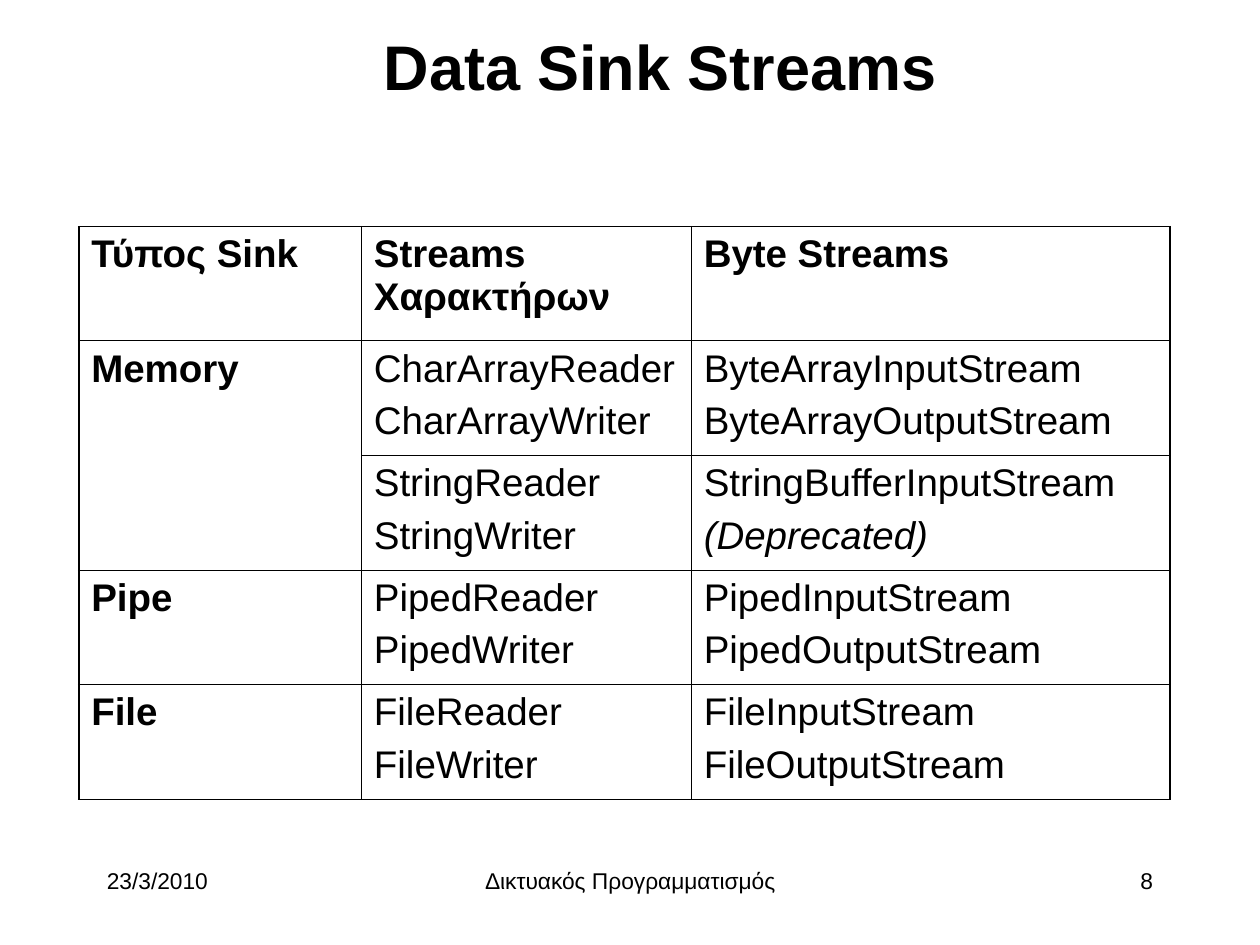
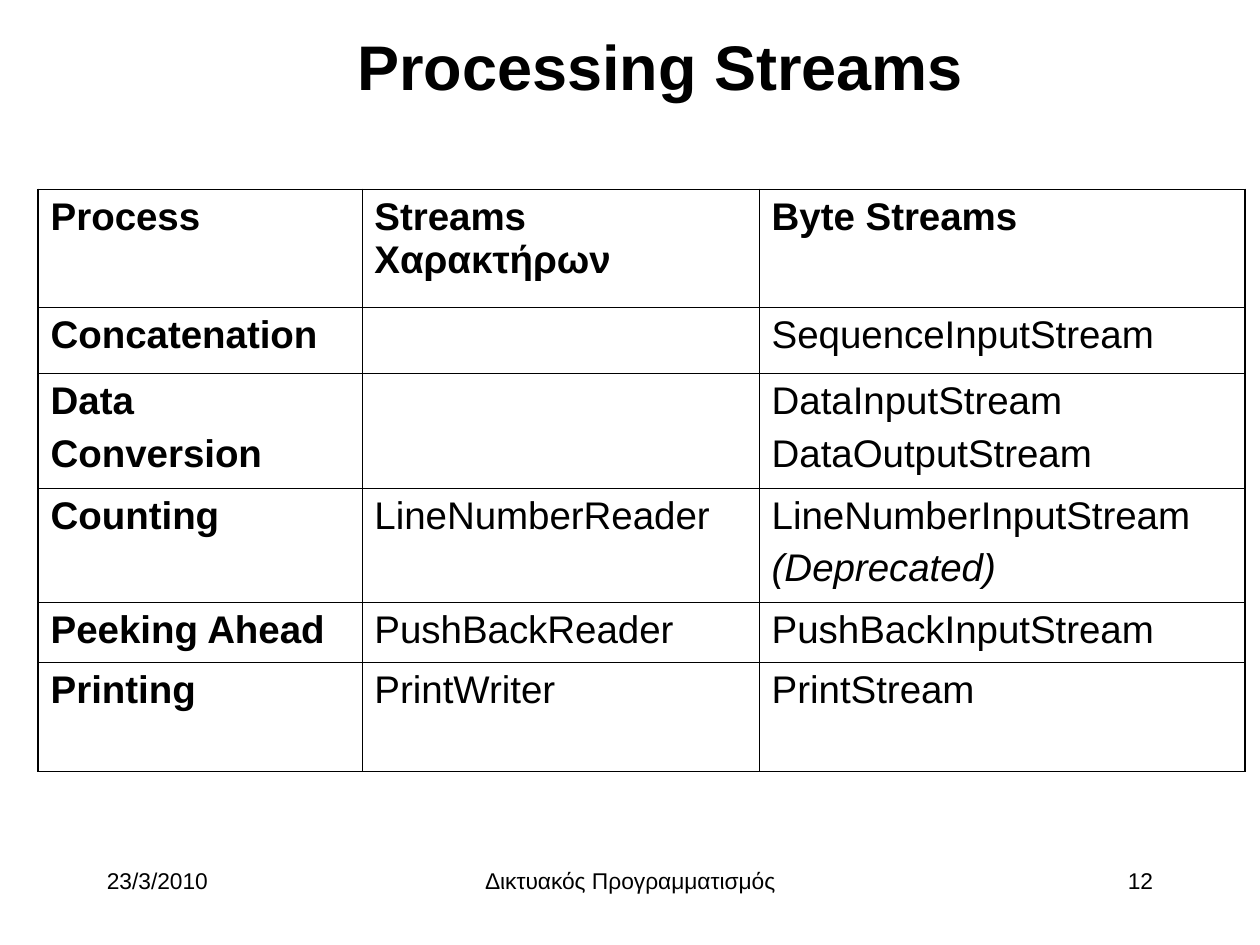
from typing import NamedTuple

from pptx import Presentation
from pptx.dml.color import RGBColor
from pptx.enum.text import MSO_ANCHOR, PP_ALIGN
from pptx.oxml.ns import qn
from pptx.util import Pt
from lxml.etree import SubElement

FONT = "Arial"
BLACK = "000000"
OUTER, INNER = 1.08, 0.45
DEPRECATED = "(Deprecated)"


class Box(NamedTuple):
    left: float
    top: float
    width: float
    height: float


class Footer(NamedTuple):
    box: Box
    align: PP_ALIGN
    text: str


class StreamTable(NamedTuple):
    title: str
    number: int
    left: float
    top: float
    col_widths: list[float]
    row_heights: list[float]
    rows: list[tuple[str, str, str]]


TITLE_BOX = Box(105, 5, 544.5, 65)
FOOTER_TOP, FOOTER_HEIGHT = 492, 36
NUMBER_BOX = Box(516, FOOTER_TOP, 150, FOOTER_HEIGHT)
FOOTERS = [
    Footer(Box(54, FOOTER_TOP, 150, FOOTER_HEIGHT), PP_ALIGN.LEFT, "23/3/2010"),
    Footer(Box(246, FOOTER_TOP, 228, FOOTER_HEIGHT), PP_ALIGN.CENTER,
           "Δικτυακός Προγραμματισμός"),
]

# A row whose first entry is empty continues the row above.
SINKS = StreamTable(
    "Data Sink Streams", 8, 45, 129.5, [161.5, 188.5, 273.5], [65.3] * 5,
    [
        ("Τύπος Sink", "Streams Χαρακτήρων", "Byte Streams"),
        ("Memory", "CharArrayReader\nCharArrayWriter",
         "ByteArrayInputStream\nByteArrayOutputStream"),
        ("", "StringReader\nStringWriter", f"StringBufferInputStream\n{DEPRECATED}"),
        ("Pipe", "PipedReader\nPipedWriter", "PipedInputStream\nPipedOutputStream"),
        ("File", "FileReader\nFileWriter", "FileInputStream\nFileOutputStream"),
    ],
)
PROCESSING = StreamTable(
    "Processing Streams", 12, 21.8, 108.3, [185, 227, 277.5],
    [67.3, 37.8, 65.3, 65.3, 34.2, 62.2],
    [
        ("Process", "Streams Χαρακτήρων", "Byte Streams"),
        ("Concatenation", "", "SequenceInputStream"),
        ("Data\nConversion", "", "DataInputStream\nDataOutputStream"),
        ("Counting", "LineNumberReader", f"LineNumberInputStream\n{DEPRECATED}"),
        ("Peeking Ahead", "PushBackReader", "PushBackInputStream"),
        ("Printing", "PrintWriter", "PrintStream"),
    ],
)


def color(value: str) -> RGBColor:
    return RGBColor.from_string(value)


def write(tf, text: str, *, size: float, bold: bool = False,
          align: PP_ALIGN = PP_ALIGN.LEFT, before: float = 0) -> None:
    """Write one paragraph per line of text; the deprecation note is italic."""
    for i, line in enumerate(text.split("\n")):
        p = tf.add_paragraph() if i else tf.paragraphs[0]
        p.alignment = align
        p.space_before = Pt(before)
        r = p.add_run()
        r.text = line
        r.font.name = FONT
        r.font.size = Pt(size)
        r.font.bold = bold
        r.font.italic = line == DEPRECATED
        r.font.color.rgb = color(BLACK)


def add_text(s, box: Box, text: str, *, anchor: MSO_ANCHOR = MSO_ANCHOR.TOP,
             **style) -> None:
    tf = s.shapes.add_textbox(*map(Pt, box)).text_frame
    tf.word_wrap = True
    tf.vertical_anchor = anchor
    write(tf, text, **style)


def set_borders(cell, widths: dict[str, float]) -> None:
    tc_pr = cell._tc.get_or_add_tcPr()
    for side, width in widths.items():
        ln = SubElement(tc_pr, qn(f"a:ln{side}"), w=str(Pt(width)))
        fill = SubElement(ln, qn("a:solidFill"))
        SubElement(fill, qn("a:srgbClr"), val=BLACK)


def add_stream_table(s, spec: StreamTable) -> None:
    n_rows, n_cols = len(spec.rows), len(spec.col_widths)
    box = Box(spec.left, spec.top, sum(spec.col_widths), sum(spec.row_heights))
    table = s.shapes.add_table(n_rows, n_cols, *map(Pt, box)).table
    table.first_row = table.horz_banding = False
    for column, width in zip(table.columns, spec.col_widths):
        column.width = Pt(width)
    for row, height in zip(table.rows, spec.row_heights):
        row.height = Pt(height)

    for i, texts in enumerate(spec.rows):
        for j, text in enumerate(texts):
            cell = table.cell(i, j)
            edges = {"L": j == 0, "R": j == n_cols - 1,
                     "T": i == 0, "B": i == n_rows - 1}
            set_borders(cell, {side: OUTER if edge else INNER
                               for side, edge in edges.items()})
            cell.fill.background()
            if text:
                write(cell.text_frame, text, size=22, before=5.5,
                      bold=i == 0 or j == 0)
        if not texts[0]:
            table.cell(i - 1, 0).merge(table.cell(i, 0))


def add_stream_slide(prs, spec: StreamTable) -> None:
    s = prs.slides.add_slide(prs.slide_layouts[6])
    add_text(s, TITLE_BOX, spec.title, size=36, bold=True,
             align=PP_ALIGN.CENTER, anchor=MSO_ANCHOR.MIDDLE)
    add_stream_table(s, spec)
    number = Footer(NUMBER_BOX, PP_ALIGN.RIGHT, str(spec.number))
    for footer in [*FOOTERS, number]:
        add_text(s, footer.box, footer.text, size=13, align=footer.align)


def main() -> None:
    prs = Presentation()
    prs.slide_width, prs.slide_height = Pt(720), Pt(540)
    for spec in (SINKS, PROCESSING):
        add_stream_slide(prs, spec)
    prs.save("out.pptx")


if __name__ == "__main__":
    main()
